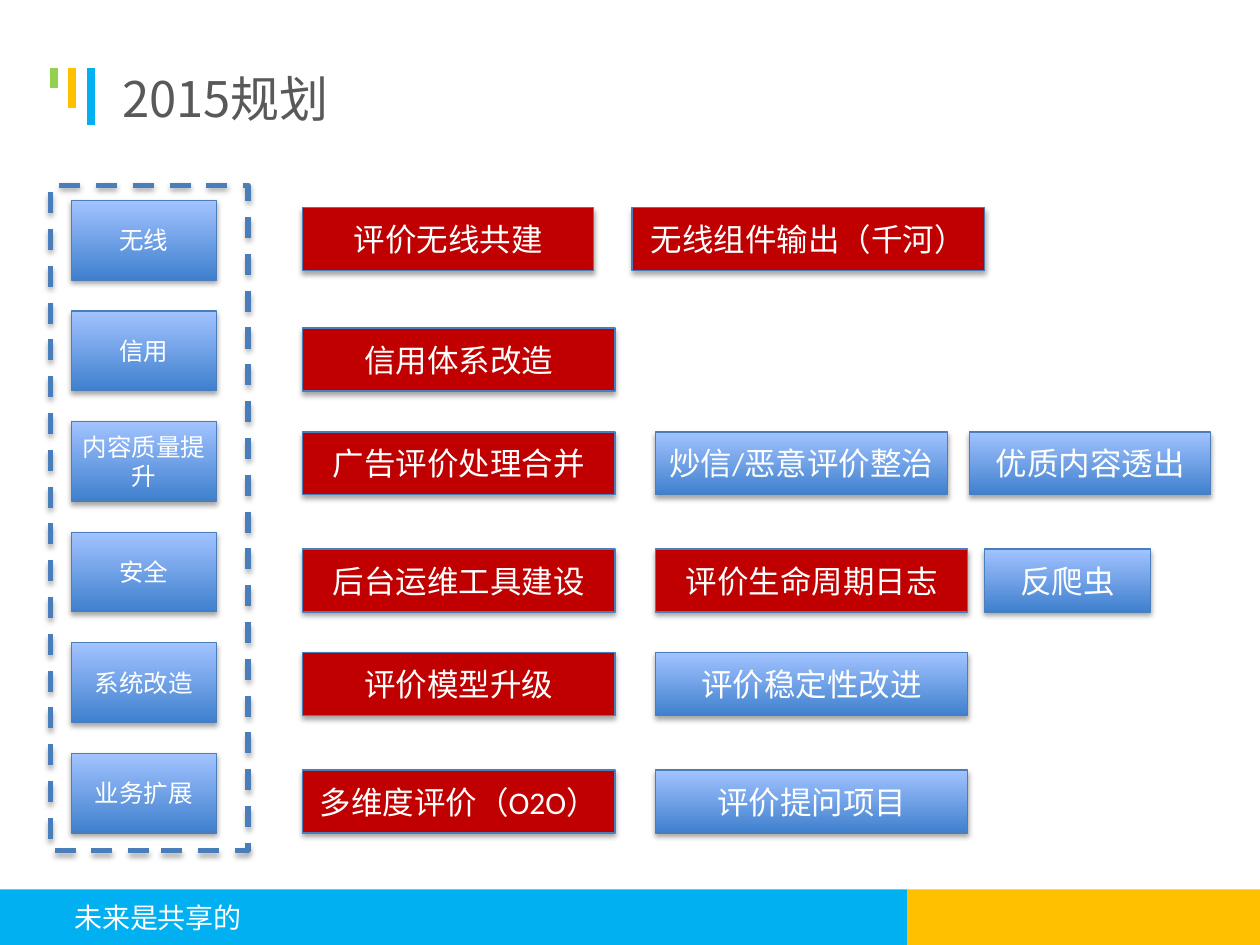
from lxml.etree import SubElement
from pptx import Presentation
from pptx.dml.color import RGBColor
from pptx.enum.dml import MSO_LINE_DASH_STYLE as DASH
from pptx.enum.shapes import MSO_CONNECTOR, MSO_SHAPE
from pptx.enum.text import MSO_ANCHOR, PP_ALIGN
from pptx.oxml.ns import qn
from pptx.util import Pt

WHITE = RGBColor(0xFF, 0xFF, 0xFF)
GRAY = RGBColor(0x59, 0x59, 0x59)
CYAN = RGBColor(0x00, 0xB0, 0xF0)
AMBER = RGBColor(0xFF, 0xC0, 0x00)
GREEN = RGBColor(0x92, 0xD0, 0x50)
RED = RGBColor(0xC0, 0x00, 0x00)
EDGE = RGBColor(0x4A, 0x7E, 0xBB)
BLUE_DARK = RGBColor(0x3F, 0x80, 0xCE)
BLUE_LIGHT = RGBColor(0xA2, 0xC3, 0xFF)
CJK = "Noto Sans CJK SC"
LATIN = "Calibri"

CATEGORIES = ["无线", "信用", "内容质量提升", "安全", "系统改造", "业务扩展"]
CATEGORY_TOP, CATEGORY_PITCH = 114.5, 63.2

COL_1, COL_2, WIDE = 172.8, 374.4, 178.6
PROJECTS = [
    (118.8, [("评价无线共建", COL_1, 166.5, RED),
             ("无线组件输出（千河）", 361.2, 201.6, RED)]),
    (187.5, [("信用体系改造", COL_1, WIDE, RED)]),
    (246.8, [("广告评价处理合并", COL_1, WIDE, RED),
             ("炒信/恶意评价整治", COL_2, 167, None),
             ("优质内容透出", 554.2, 137.5, None)]),
    (313.7, [("后台运维工具建设", COL_1, WIDE, RED),
             ("评价生命周期日志", COL_2, WIDE, RED),
             ("反爬虫", 562.4, 95, None)]),
    (373, [("评价模型升级", COL_1, WIDE, RED),
           ("评价稳定性改进", COL_2, WIDE, None)]),
    (440, [("多维度评价（O2O）", COL_1, WIDE, RED),
           ("评价提问项目", COL_2, WIDE, None)]),
]


def write_text(sp, text, size, font, color, align=PP_ALIGN.LEFT, left=0):
    tf = sp.text_frame
    tf.word_wrap = True
    tf.vertical_anchor = MSO_ANCHOR.MIDDLE
    tf.margin_left = Pt(left)
    tf.margin_top = tf.margin_right = tf.margin_bottom = Pt(0)
    tf.text = text
    p = tf.paragraphs[0]
    p.alignment = align
    r = p.runs[0]
    r.font.size = Pt(size)
    r.font.name = font
    r.font.color.rgb = color
    SubElement(r.font._element, qn("a:ea"), typeface=CJK)


def add_rect(s, x, y, w, h, color=None):
    sp = s.shapes.add_shape(MSO_SHAPE.RECTANGLE, Pt(x), Pt(y), Pt(w), Pt(h))
    sp.shadow.inherit = False
    sp.line.fill.background()
    if color is None:
        sp.fill.background()
    else:
        sp.fill.solid()
        sp.fill.fore_color.rgb = color
    return sp


def add_edge(sp, width):
    sp.line.color.rgb = EDGE
    sp.line.width = Pt(width)
    effects = sp._element.spPr.find(qn("a:effectLst"))
    shadow = SubElement(effects, qn("a:outerShdw"), blurRad=str(Pt(3)),
                        dist=str(Pt(1.8)), dir="5400000", rotWithShape="0")
    black = SubElement(shadow, qn("a:srgbClr"), val="000000")
    SubElement(black, qn("a:alpha"), val="35000")


def fill_gradient(sp):
    sp.fill.gradient()
    sp.fill.gradient_angle = 90
    for stop, color in zip(sp.fill.gradient_stops, (BLUE_DARK, BLUE_LIGHT)):
        stop.color.rgb = color


def add_card(s, text, x, y, w, h, size, font, color=None):
    sp = add_rect(s, x, y, w, h, color)
    if color is None:
        fill_gradient(sp)
    add_edge(sp, 0.75)
    write_text(sp, text, size, font, WHITE, PP_ALIGN.CENTER)


def add_bar(s, x, bottom, color):
    line = s.shapes.add_connector(MSO_CONNECTOR.STRAIGHT, Pt(x), Pt(38.7), Pt(x), Pt(bottom))
    line.line.color.rgb = color
    line.line.width = Pt(4.5)
    SubElement(line._element.spPr, qn("a:effectLst"))


def add_header(s):
    for x, bottom, color in ((52, 71.4, CYAN), (41, 62, AMBER), (30.8, 50.2, GREEN)):
        add_bar(s, x, bottom, color)
    title = s.shapes.add_textbox(Pt(66.2), Pt(25.2), Pt(533.5), Pt(61.2))
    write_text(title, "2015规划", 28, CJK, GRAY, left=3.6)


def add_footer(s):
    bar = add_rect(s, 0, 508.3, 518.4, 31.7, CYAN)
    write_text(bar, "未来是共享的", 16, CJK, WHITE, left=42.5)
    add_rect(s, 518.4, 508.3, 201.6, 31.7, AMBER)


def add_categories(s):
    frame = add_rect(s, 28.8, 105.8, 113, 380.2)
    add_edge(frame, 3)
    frame.line.dash_style = DASH.DASH
    for i, name in enumerate(CATEGORIES):
        add_card(s, name, 40.7, CATEGORY_TOP + i * CATEGORY_PITCH, 83.2, 45.5, 14, CJK)


def add_projects(s):
    for y, row in PROJECTS:
        for name, x, w, color in row:
            add_card(s, name, x, y, w, 36, 18, LATIN, color)


def main():
    prs = Presentation()
    prs.slide_width, prs.slide_height = Pt(720), Pt(540)
    s = prs.slides.add_slide(prs.slide_layouts[6])
    add_header(s)
    add_footer(s)
    add_categories(s)
    add_projects(s)
    prs.save("out.pptx")


if __name__ == "__main__":
    main()
